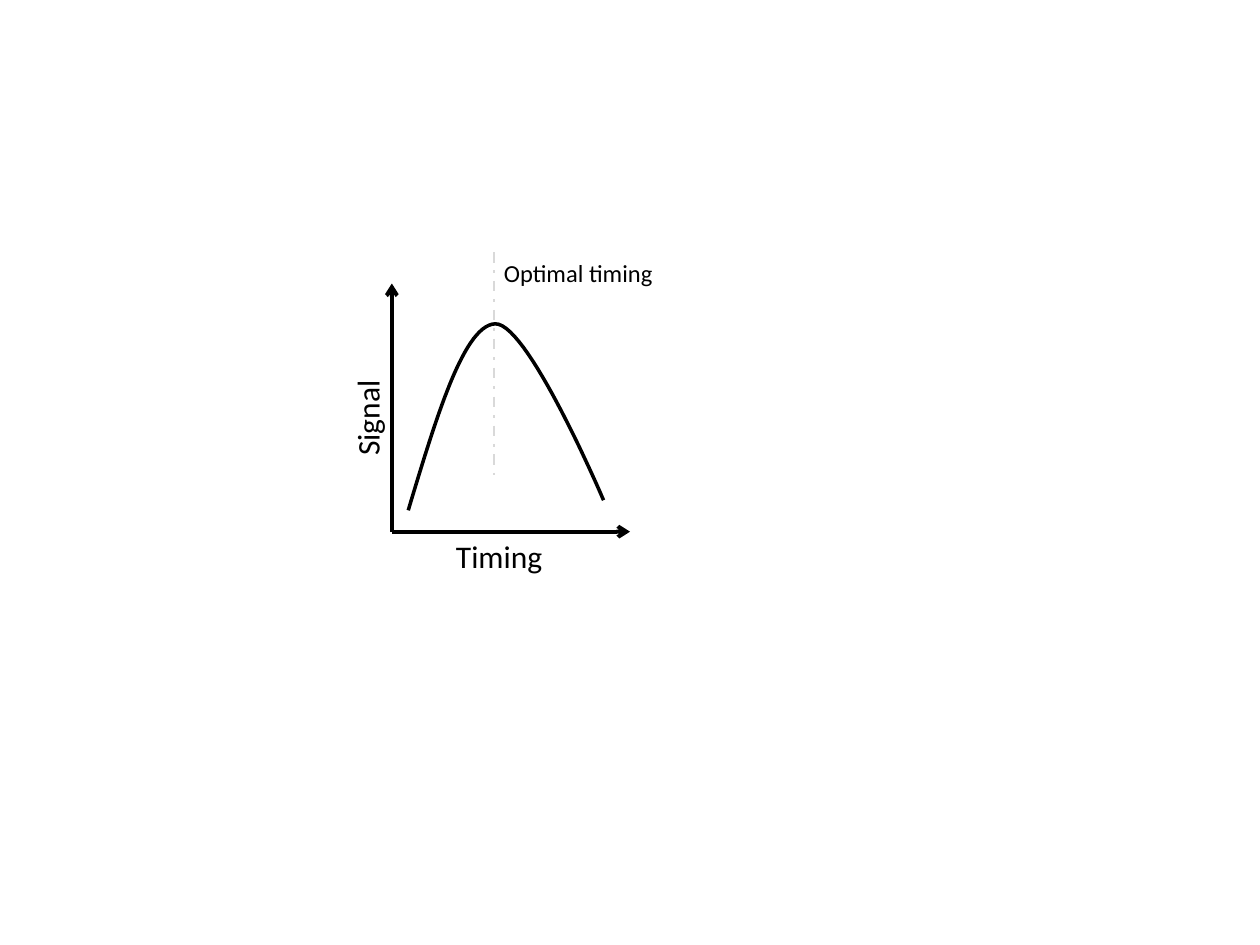
import pptx
import pptx.util
import pptx.dml.color
import pptx.enum.dml
import pptx.enum.shapes
import pptx.enum.text
import pptx.oxml
import pptx.oxml.ns
import lxml.etree

Pt = pptx.util.Pt


def color(value):
    return pptx.dml.color.RGBColor.from_string(value)


def draw_line(x1, y1, x2, y2, ink, width):
    line = slide.shapes.add_connector(
        pptx.enum.shapes.MSO_CONNECTOR.STRAIGHT, Pt(x1), Pt(y1), Pt(x2), Pt(y2))
    line.line.color.rgb = color(ink)
    line.line.width = Pt(width)
    lxml.etree.SubElement(line._element.spPr, pptx.oxml.ns.qn("a:effectLst"))
    return line


deck = pptx.Presentation()
deck.slide_width, deck.slide_height = Pt(720), Pt(540)
slide = deck.slides.add_slide(deck.slide_layouts[6])

origin_x, origin_y = 223.92, 303.84
for tip_x, tip_y in [(origin_x, 162), (360, origin_y)]:
    axis = draw_line(origin_x, origin_y, tip_x, tip_y, "000000", 2.25)
    arrowhead = lxml.etree.SubElement(axis.line._get_or_add_ln(), pptx.oxml.ns.qn("a:tailEnd"))
    arrowhead.set("type", "arrow")

rise = [(233.28, 291.6), (249.12, 239.04), (264.96, 185.76), (282.96, 185.04)]
fall = [(282.96, 185.04), (301.68, 184.32), (344.88, 285.84), (344.88, 285.84)]
steps = 30
curve_points = []
for bezier in (rise, fall):
    for step in range(1, steps + 1):
        t = step / steps
        weights = [(1 - t) ** 3, 3 * t * (1 - t) ** 2, 3 * t ** 2 * (1 - t), t ** 3]
        curve_points.append(tuple(
            Pt(sum(w * point[i] for w, point in zip(weights, bezier))) for i in (0, 1)))

outline = slide.shapes.build_freeform(Pt(rise[0][0]), Pt(rise[0][1]))
outline.add_line_segments(curve_points, close=False)
signal_curve = outline.convert_to_shape()
signal_curve.shadow.inherit = False
signal_curve.fill.background()
signal_curve.line.color.rgb = color("000000")
signal_curve.line.width = Pt(2)

optimum = draw_line(282.24, 144, 282.24, 274.32, "D9D9D9", 1.5)
optimum.line.dash_style = pptx.enum.dml.MSO_LINE.DASH_DOT

labels = [
    ("Timing", 253.44, 303.12, 64.08, 29.08, 18, 0, False),
    ("Signal", 180.72, 223.92, 58.32, 29.08, 18, 270, False),
    ("Optimal timing", 280.8, 144, 102.24, 24.48, 14, 0, True),
]
for wording, left, top, width, height, size, turn, wraps in labels:
    label = slide.shapes.add_textbox(Pt(left), Pt(top), Pt(width), Pt(height))
    label.rotation = turn
    label.text_frame.word_wrap = wraps
    label.text_frame.auto_size = pptx.enum.text.MSO_AUTO_SIZE.SHAPE_TO_FIT_TEXT
    run = label.text_frame.paragraphs[0].add_run()
    run.text = wording
    run.font.name = "Calibri"
    run.font.size = Pt(size)
    run.font.color.rgb = color("000000")

deck.save("out.pptx")
